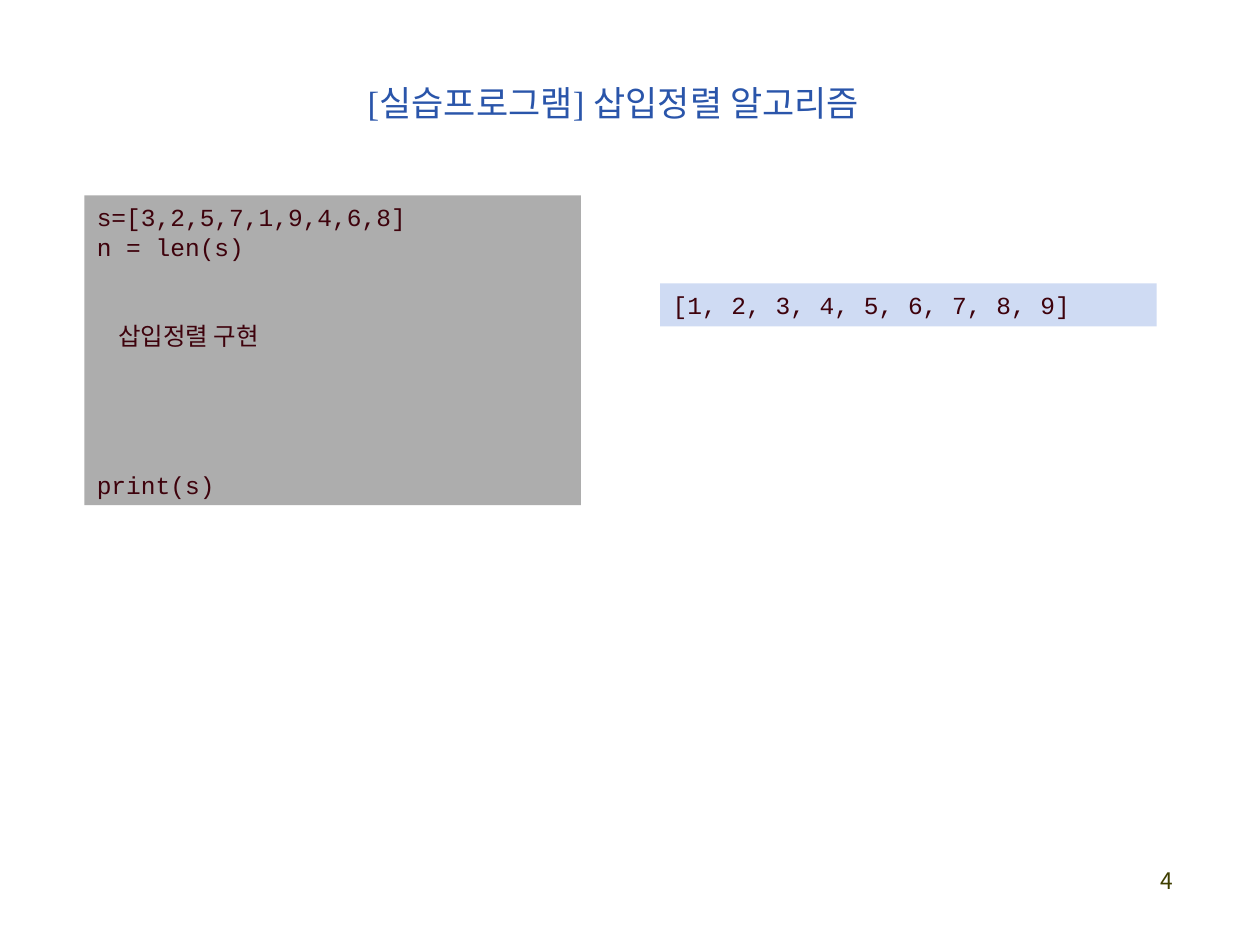
from dataclasses import dataclass
from typing import Optional

from pptx import Presentation
from pptx import util as u
from pptx.dml.color import RGBColor
from pptx.enum import shapes, text

TITLE_BLUE = RGBColor(0x2A, 0x55, 0xAA)
CODE_MAROON = RGBColor(0x3E, 0x02, 0x0C)
NUMBER_OLIVE = RGBColor(0x3F, 0x3E, 0x00)
CODE_GRAY = RGBColor(0xAD, 0xAD, 0xAD)
RESULT_BLUE = RGBColor(0xCF, 0xDB, 0xF3)
LINE_PITCH = 17


@dataclass(frozen=True)
class CodeLine:
    wording: str
    lines_skipped: int = 0
    indent: float = 0


@dataclass(frozen=True)
class Panel:
    left: float
    top: float
    height: float
    fill: RGBColor
    lines: tuple[CodeLine, ...]
    width: float = 3.94


@dataclass(frozen=True)
class Label:
    wording: str
    box: tuple[float, float, float, float]
    font: str
    size: int
    color: RGBColor
    align: text.PP_ALIGN
    anchor: text.MSO_ANCHOR


PANELS = (
    Panel(0.67, 1.55, 2.46, CODE_GRAY, (
        CodeLine("s=[3,2,5,7,1,9,4,6,8]"),
        CodeLine("n = len(s)"),
        CodeLine("삽입정렬 구현", lines_skipped=2, indent=0.17),
        CodeLine("print(s)", lines_skipped=4),
    )),
    Panel(5.24, 2.25, 0.34, RESULT_BLUE, (CodeLine("[1, 2, 3, 4, 5, 6, 7, 8, 9]"),)),
)

LABELS = (
    Label("4", (7.33, 6.83, 2.08, 0.5), "Noto Sans CJK KR", 13, NUMBER_OLIVE,
          text.PP_ALIGN.RIGHT, text.MSO_ANCHOR.TOP),
    Label("[실습프로그램] 삽입정렬 알고리즘 ", (0.65, 0.44, 8.5, 0.75), "Times New Roman", 20,
          TITLE_BLUE, text.PP_ALIGN.CENTER, text.MSO_ANCHOR.MIDDLE),
)


def apply_format(target, values: dict) -> None:
    for attribute, value in values.items():
        setattr(target, attribute, value)


def write(paragraph, wording: str, font: str, size: int, color: RGBColor,
          layout: dict) -> None:
    apply_format(paragraph, layout)
    run = paragraph.add_run()
    run.text = wording
    apply_format(run.font, {"name": font, "size": u.Pt(size)})
    run.font.color.rgb = color


def draw_label(slide, label: Label) -> None:
    frame = slide.shapes.add_textbox(*map(u.Inches, label.box)).text_frame
    apply_format(frame, {"word_wrap": True, "vertical_anchor": label.anchor})
    write(frame.paragraphs[0], label.wording, label.font, label.size, label.color,
          {"alignment": label.align})


def draw_panel(slide, panel: Panel) -> None:
    box = map(u.Inches, (panel.left, panel.top, panel.width, panel.height))
    block = slide.shapes.add_shape(shapes.MSO_SHAPE.RECTANGLE, *box)
    block.shadow.inherit = False
    block.fill.solid()
    block.fill.fore_color.rgb = panel.fill
    block.line.fill.background()
    frame = block.text_frame
    apply_format(frame, {"word_wrap": True, "vertical_anchor": text.MSO_ANCHOR.TOP})
    for index, line in enumerate(panel.lines):
        paragraph = frame.add_paragraph() if index else frame.paragraphs[0]
        write(paragraph, line.wording, "Courier New", 14, CODE_MAROON, {
            "alignment": text.PP_ALIGN.LEFT,
            "line_spacing": u.Pt(LINE_PITCH),
            "space_before": u.Pt(LINE_PITCH * line.lines_skipped),
        })
        if line.indent:
            paragraph._p.get_or_add_pPr().set("marL", str(u.Inches(line.indent)))


def main() -> None:
    deck = Presentation()
    apply_format(deck, {"slide_width": u.Inches(10), "slide_height": u.Inches(7.5)})
    slide = deck.slides.add_slide(deck.slide_layouts[6])
    number, title = LABELS
    draw_label(slide, number)
    for panel in PANELS:
        draw_panel(slide, panel)
    draw_label(slide, title)
    deck.save("out.pptx")


if __name__ == "__main__":
    main()
